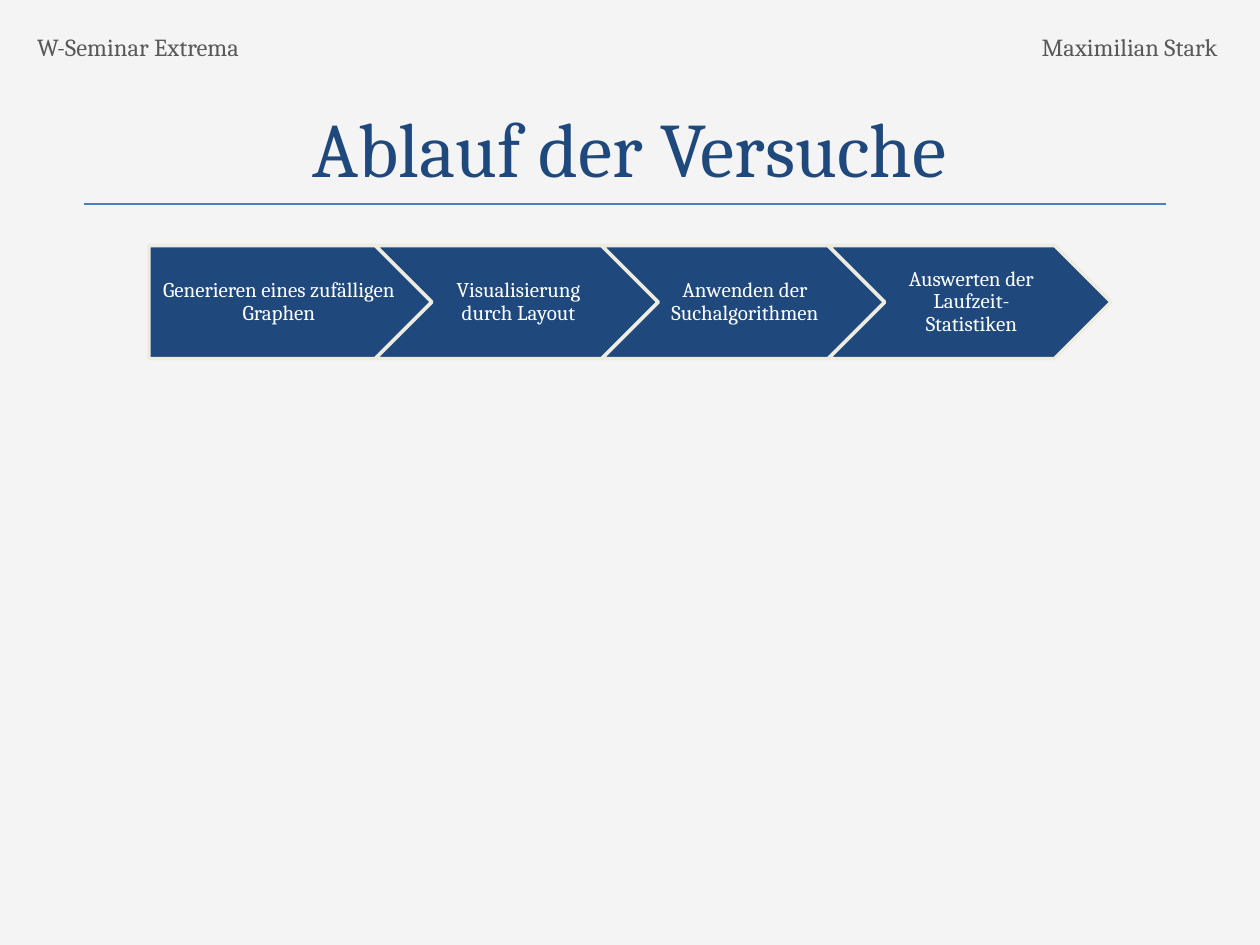
from dataclasses import dataclass

from lxml.etree import SubElement
from pptx import Presentation
from pptx.dml.color import RGBColor
from pptx.enum.shapes import MSO_CONNECTOR, MSO_SHAPE
from pptx.enum.text import MSO_ANCHOR, PP_ALIGN
from pptx.oxml.ns import qn
from pptx.util import Cm, Pt


@dataclass(frozen=True)
class Theme:
    font: str = "Cambria"
    background: str = "F4F4F4"
    navy: str = "1F497D"
    rule: str = "4B7EBC"
    cream: str = "EEECE1"
    grey: str = "595959"
    white: str = "FFFFFF"
    title_size: int = 44
    header_size: int = 14
    step_size: int = 12


THEME = Theme()
STEPS = [
    "Generieren eines zufälligen Graphen",
    "Visualisierung durch Layout",
    "Anwenden der Suchalgorithmen",
    "Auswerten der Laufzeit-Statistiken",
]


def color(code):
    return RGBColor.from_string(code)


def write(frame, text, *, size, ink, align=PP_ALIGN.LEFT,
          anchor=MSO_ANCHOR.TOP, wrap=True, spacing=None):
    frame.word_wrap = wrap
    frame.vertical_anchor = anchor
    paragraph = frame.paragraphs[0]
    paragraph.alignment = align
    paragraph.line_spacing = spacing
    run = paragraph.add_run()
    run.text = text
    run.font.name = THEME.font
    run.font.size = Pt(size)
    run.font.color.rgb = color(ink)


def add_header(slide, left, top, width, height):
    label_width = 4.9
    labels = [
        ("W-Seminar Extrema", left, PP_ALIGN.LEFT),
        ("Maximilian Stark", left + width - label_width, PP_ALIGN.RIGHT),
    ]
    for text, label_left, align in labels:
        label = slide.shapes.add_textbox(
            Cm(label_left), Cm(top), Cm(label_width), Cm(height))
        write(label.text_frame, text, size=THEME.header_size,
              ink=THEME.grey, align=align)


def add_title(slide, left, top, width, height):
    title = slide.shapes.title
    title.left, title.top = Cm(left), Cm(top)
    title.width, title.height = Cm(width), Cm(height)
    write(title.text_frame, "Ablauf der Versuche", size=THEME.title_size,
          ink=THEME.navy, align=PP_ALIGN.CENTER, anchor=MSO_ANCHOR.MIDDLE)

    rule_top = top + 2.74
    rule = slide.shapes.add_connector(
        MSO_CONNECTOR.STRAIGHT,
        Cm(left + 1.7), Cm(rule_top), Cm(left + 23.5), Cm(rule_top))
    rule.line.color.rgb = color(THEME.rule)
    rule.line.width = Pt(0.75)
    SubElement(rule.element.spPr, qn("a:effectLst"))


def add_process(slide, left, top, width, height):
    overlap = height / 2
    step_width = (width + overlap * (len(STEPS) - 1)) / len(STEPS)
    for index, text in enumerate(STEPS):
        outline = MSO_SHAPE.CHEVRON if index else MSO_SHAPE.PENTAGON
        step = slide.shapes.add_shape(
            outline, Cm(left + index * (step_width - overlap)), Cm(top),
            Cm(step_width), Cm(height))
        step.shadow.inherit = False
        step.fill.solid()
        step.fill.fore_color.rgb = color(THEME.navy)
        step.line.color.rgb = color(THEME.cream)
        step.line.width = Pt(2)
        frame = step.text_frame
        frame.margin_left = Cm(0.13 if index else 0.17)
        frame.margin_right = Cm(0.06)
        frame.margin_top = frame.margin_bottom = Cm(0.1)
        write(frame, text, size=THEME.step_size, ink=THEME.white,
              align=PP_ALIGN.CENTER, anchor=MSO_ANCHOR.MIDDLE, spacing=0.9)


def main():
    deck = Presentation()
    deck.slide_width, deck.slide_height = Cm(25.4), Cm(19.05)
    slide = deck.slides.add_slide(deck.slide_layouts[5])
    slide.background.fill.solid()
    slide.background.fill.fore_color.rgb = color(THEME.background)
    add_title(slide, 0, 1.37, 25.4, 3.18)
    add_header(slide, 0.5, 0.53, 24.3, 0.86)
    add_process(slide, 3, 4.95, 19.4, 2.28)
    deck.save("out.pptx")


if __name__ == "__main__":
    main()
